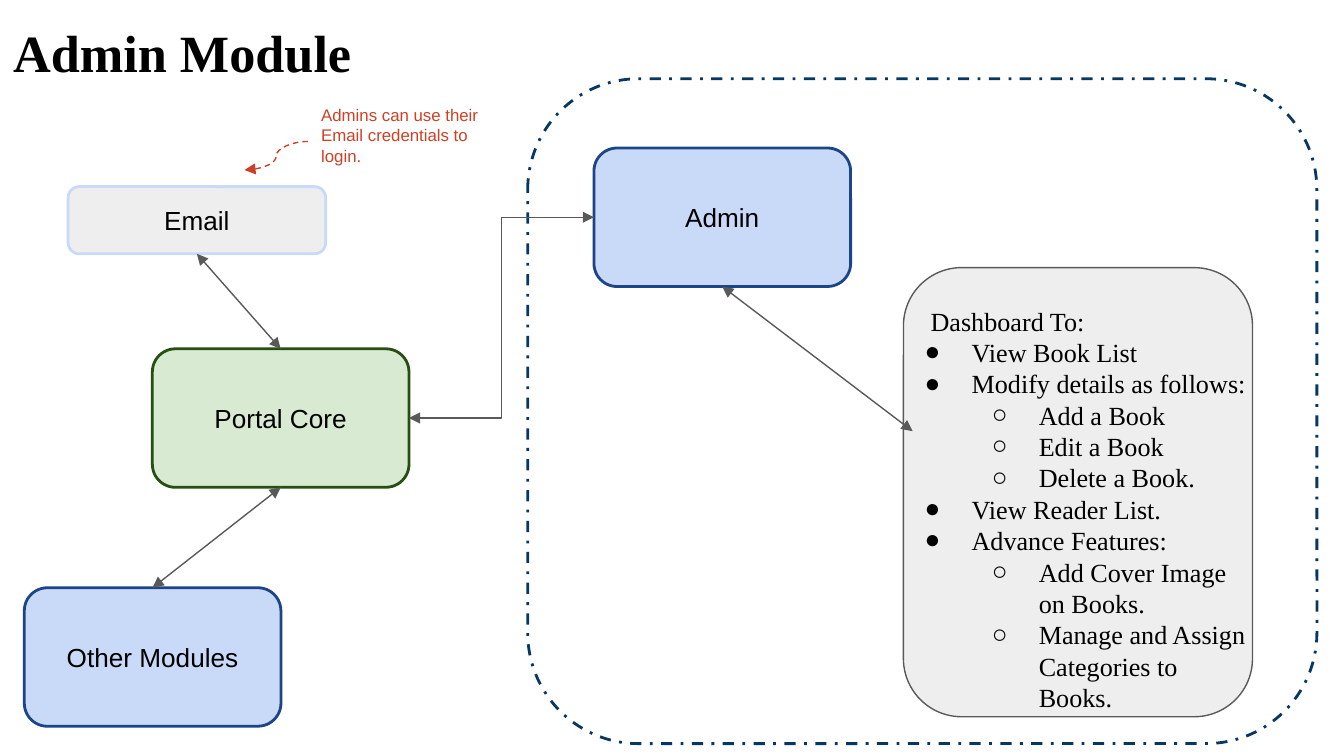
"""Build the Admin Module diagram slide."""
from dataclasses import dataclass
from typing import Optional

from lxml import etree
from pptx import Presentation
from pptx.dml.color import RGBColor
from pptx.enum import dml, shapes, text
from pptx.oxml import ns
from pptx.util import Pt


@dataclass(frozen=True)
class Theme:
    sans: str = "Arial"
    serif: str = "Times New Roman"
    title_size: float = 28
    body_size: float = 14
    note_size: float = 9
    black: str = "000000"
    white: str = "FFFFFF"
    grey: str = "EEEEEE"
    wire: str = "595959"
    pale_blue: str = "C9DAF8"
    blue: str = "1C4587"
    navy: str = "073763"
    pale_green: str = "D9EAD3"
    green: str = "274E13"
    red: str = "CC4125"
    thin: float = 0.75
    thick: float = 1.5


THEME = Theme()
DASH = dml.MSO_LINE
ROUTE = shapes.MSO_CONNECTOR
Point = tuple[float, float]


@dataclass(frozen=True)
class Box:
    left: float
    top: float
    width: float
    height: float
    fill: str
    outline: str
    label: str = ""
    weight: float = THEME.thick
    dash: Optional[DASH] = None

    @property
    def top_mid(self) -> Point:
        return self.left + self.width / 2, self.top

    @property
    def bottom_mid(self) -> Point:
        return self.left + self.width / 2, self.top + self.height

    @property
    def left_mid(self) -> Point:
        return self.left, self.top + self.height / 2

    @property
    def right_mid(self) -> Point:
        return self.left + self.width, self.top + self.height / 2


@dataclass(frozen=True)
class Link:
    start: Point
    end: Point
    route: ROUTE = ROUTE.STRAIGHT
    color: str = THEME.wire
    both_ways: bool = True
    dash: Optional[DASH] = None


@dataclass(frozen=True)
class Entry:
    words: str
    bullet: str = ""
    level: int = 0


def module(left: float, top: float, label: str, fill: str, outline: str) -> Box:
    """Return a module box of the common size."""
    return Box(left, top, 137.5, 74.2, fill, outline, label)


FRAME = Box(282.7, 42.2, 422.8, 356.2, THEME.white, THEME.navy, dash=DASH.DASH_DOT)
PORTAL = module(81.6, 186.9, "Portal Core", THEME.pale_green, THEME.green)
OTHERS = module(13, 314.9, "Other Modules", THEME.pale_blue, THEME.blue)
ADMIN = module(318.2, 79.3, "Admin", THEME.pale_blue, THEME.blue)
DASHBOARD = Box(484, 143.4, 187, 240.6, THEME.grey, THEME.wire, weight=THEME.thin)
MAIL = Box(36.5, 100, 138, 36, THEME.grey, THEME.pale_blue, "Email")

LINKS = [
    Link(PORTAL.bottom_mid, OTHERS.top_mid),
    Link(MAIL.bottom_mid, PORTAL.top_mid),
    Link(PORTAL.right_mid, ADMIN.left_mid, ROUTE.ELBOW),
    Link((165, 75.8), (131, 91.1), ROUTE.CURVE, THEME.red, False, DASH.DASH),
    Link(ADMIN.bottom_mid, (488.9, 231)),
]

FEATURES = [
    Entry("Dashboard To:"),
    Entry("View Book List", "●"),
    Entry("Modify details as follows:", "●"),
    Entry("Add a Book", "○", 1),
    Entry("Edit a Book", "○", 1),
    Entry("Delete a Book.", "○", 1),
    Entry("View Reader List.", "●"),
    Entry("Advance Features:", "●"),
    Entry("Add Cover Image on Books.", "○", 1),
    Entry("Manage and Assign Categories to Books.", "○", 1),
]


def set_font(paragraph, size: float, face: str, color: str = THEME.black, bold: bool = False) -> None:
    """Set the font of a whole paragraph."""
    font = paragraph.font
    font.size, font.name, font.bold = Pt(size), face, bold
    font.color.rgb = RGBColor.from_string(color)


def set_line(line, color: str, weight: float, dash: Optional[DASH]) -> None:
    """Style an outline or a connector line."""
    line.color.rgb = RGBColor.from_string(color)
    line.width = Pt(weight)
    if dash is not None:
        line.dash_style = dash


def open_frame(frame):
    """Give a text frame wrapping and even insets."""
    frame.word_wrap = True
    frame.margin_left = frame.margin_right = Pt(7.2)
    frame.margin_top = frame.margin_bottom = Pt(7.2)
    return frame


def draw_box(slide, box: Box) -> None:
    """Draw a rounded box with its centred label."""
    shape = slide.shapes.add_shape(shapes.MSO_SHAPE.ROUNDED_RECTANGLE,
                                   Pt(box.left), Pt(box.top), Pt(box.width), Pt(box.height))
    shape.shadow.inherit = False
    shape.fill.solid()
    shape.fill.fore_color.rgb = RGBColor.from_string(box.fill)
    set_line(shape.line, box.outline, box.weight, box.dash)
    if box.label:
        frame = open_frame(shape.text_frame)
        frame.vertical_anchor = text.MSO_ANCHOR.MIDDLE
        label = frame.paragraphs[0]
        label.text, label.alignment = box.label, text.PP_ALIGN.CENTER
        set_font(label, THEME.body_size, THEME.sans)


def draw_link(slide, link: Link) -> None:
    """Draw a connector with arrowheads."""
    connector = slide.shapes.add_connector(link.route, *map(Pt, link.start + link.end))
    set_line(connector.line, link.color, THEME.thin, link.dash)
    outline = connector.line._get_or_add_ln()
    for end in ("a:headEnd", "a:tailEnd") if link.both_ways else ("a:tailEnd",):
        etree.SubElement(outline, ns.qn(end), type="triangle")
    etree.SubElement(connector._element.spPr, ns.qn("a:effectLst"))


def add_frame(slide, left: float, top: float, width: float, height: float):
    """Add a text box and return its frame."""
    return open_frame(slide.shapes.add_textbox(Pt(left), Pt(top), Pt(width), Pt(height)).text_frame)


def write_features(frame, entries: list[Entry]) -> None:
    """Write the two-level feature list."""
    for index, entry in enumerate(entries):
        paragraph = frame.paragraphs[0] if index == 0 else frame.add_paragraph()
        paragraph.text, paragraph.level = entry.words, entry.level
        properties = paragraph._p.get_or_add_pPr()
        properties.set("marL", str(Pt(36 * (entry.level + 1) if entry.bullet else 14)))
        properties.set("indent", str(Pt(-25.2 if entry.bullet else 0)))
        if entry.bullet:
            color = etree.SubElement(properties, ns.qn("a:buClr"))
            etree.SubElement(color, ns.qn("a:srgbClr"), val=THEME.black)
            etree.SubElement(properties, ns.qn("a:buFont"), typeface=THEME.serif)
            etree.SubElement(properties, ns.qn("a:buChar"), char=entry.bullet)
        set_font(paragraph, THEME.body_size, THEME.serif)


def main() -> None:
    """Build and save the slide."""
    deck = Presentation()
    deck.slide_width, deck.slide_height = Pt(720), Pt(405)
    slide = deck.slides.add_slide(deck.slide_layouts[6])

    heading = add_frame(slide, 0, 3.6, 671, 45.4)
    heading.paragraphs[0].text = "Admin Module"
    set_font(heading.paragraphs[0], THEME.title_size, THEME.serif, bold=True)

    for box in (FRAME, PORTAL, OTHERS, ADMIN, DASHBOARD, MAIL):
        draw_box(slide, box)
    for link in LINKS:
        draw_link(slide, link)

    note = add_frame(slide, 165, 49, 112.3, 54).paragraphs[0]
    note.text = "Admins can use their Email credentials to login."
    set_font(note, THEME.note_size, THEME.sans, THEME.red)
    write_features(add_frame(slide, 477.4, 156.2, 200.2, 263.5), FEATURES)
    deck.save("out.pptx")


if __name__ == "__main__":
    main()
